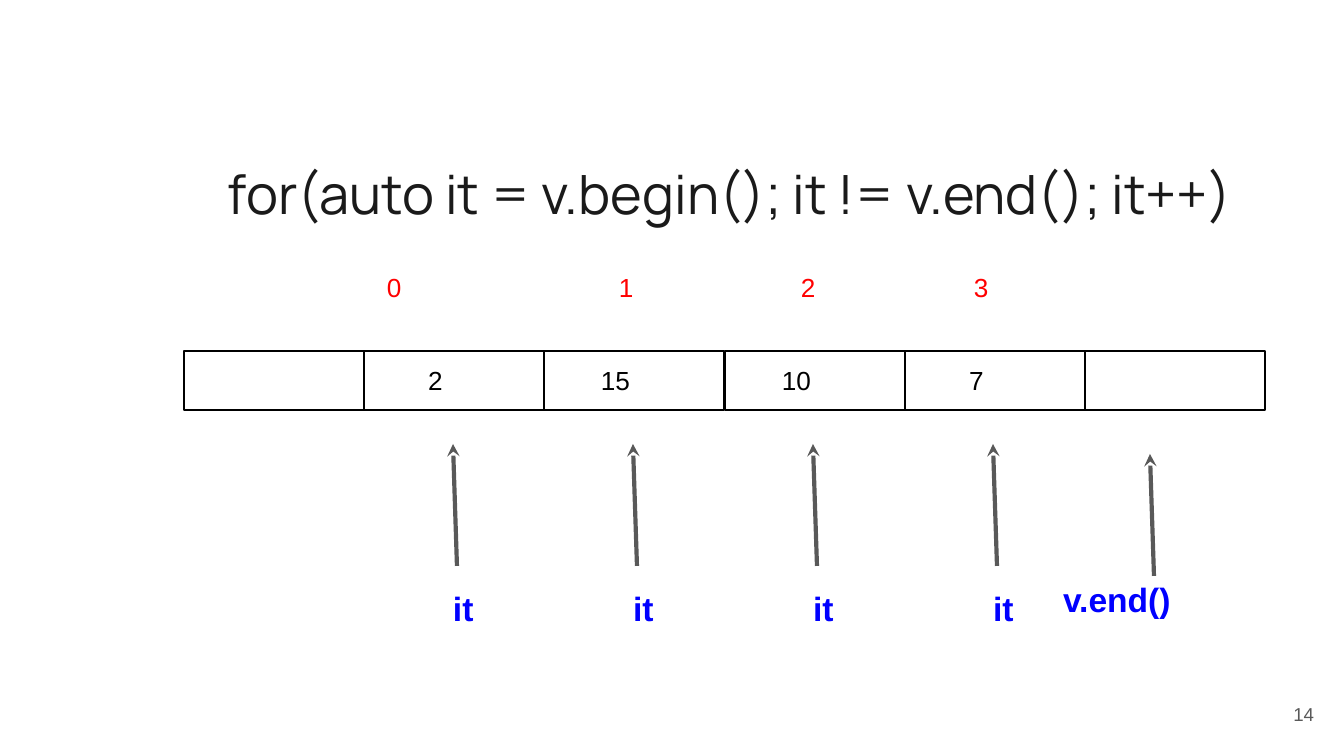
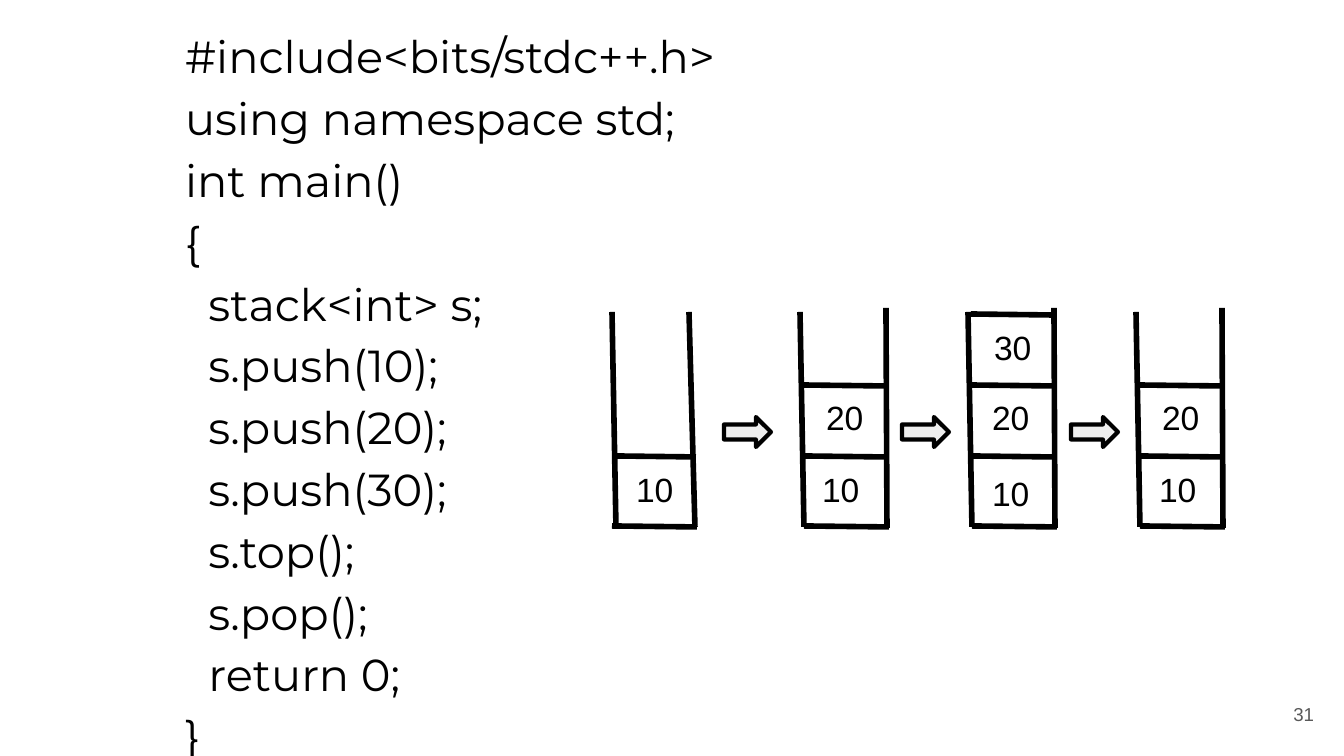
from lxml import etree
from pptx import Presentation
from pptx import util as u
from pptx.dml.color import RGBColor
from pptx.enum import shapes, text
from pptx.oxml.ns import qn

SCALE = 914400 / 134.4  # EMU per px
C = {"ink": "000000", "title": "1A1A1A", "grey": "595959", "red": "FF0000",
     "blue": "0000FF", "pale": "EEEEEE"}
INSET = 13


def add_text(s, box, lines, size, color, font="Arial", bold=False, align="LEFT",
             anchor="TOP", left=INSET, right=INSET, spacing=None, after=None,
             tabs=(), border=False):
    """Text box, or an outlined rectangle if border is set."""
    dims = [round(v * SCALE) for v in box]
    if border:
        sp = s.shapes.add_shape(shapes.MSO_SHAPE.RECTANGLE, *dims)
        sp.shadow.inherit = False
        sp.fill.background()
        sp.line.color.rgb = RGBColor.from_string(C["ink"])
        sp.line.width = u.Pt(0.75)
    else:
        sp = s.shapes.add_textbox(*dims)
    tf = sp.text_frame
    tf.word_wrap = True
    tf.vertical_anchor = text.MSO_ANCHOR[anchor]
    tf.margin_left, tf.margin_right = round(left * SCALE), round(right * SCALE)
    tf.margin_top = tf.margin_bottom = round(INSET * SCALE)
    for i, line in enumerate(lines):
        p = tf.add_paragraph() if i else tf.paragraphs[0]
        p.alignment = text.PP_ALIGN[align]
        if spacing:
            p.line_spacing = spacing
        if after:
            p.space_after = u.Pt(after)
        if tabs:
            stops = etree.SubElement(p._p.get_or_add_pPr(), qn("a:tabLst"))
            for pos in tabs:
                etree.SubElement(stops, qn("a:tab"), pos=str(round(pos * SCALE)), algn="l")
        r = p.add_run()
        r.text = line
        r.font.size, r.font.name, r.font.bold = u.Pt(size), font, bold
        r.font.color.rgb = RGBColor.from_string(C[color])


def add_line(s, x1, y1, x2, y2, color="ink", width=3, arrow=False):
    ends = [round(v * SCALE) for v in (x1, y1, x2, y2)]
    c = s.shapes.add_connector(shapes.MSO_CONNECTOR.STRAIGHT, *ends)
    c.line.color.rgb = RGBColor.from_string(C[color])
    c.line.width = u.Pt(width)
    if arrow:
        etree.SubElement(c.line._get_or_add_ln(), qn("a:tailEnd"), type="stealth")
    etree.SubElement(c._element.spPr, qn("a:effectLst"))


prs = Presentation()
prs.slide_width, prs.slide_height = round(1344 * SCALE), round(756 * SCALE)

# Slides with page numbers
pages = []
for number in ("14", "31"):
    s = prs.slides.add_slide(prs.slide_layouts[6])
    add_text(s, (1246, 685, 81, 58), [number], 10, "grey", align="RIGHT", anchor="MIDDLE")
    pages.append(s)
loop_slide, stack_slide = pages

# Loop heading and indices
s = loop_slide
add_text(s, (215, 138, 1059, 93), ["for(auto it = v.begin(); it != v.end(); it++)"],
         29, "title", font="Manrope", spacing=1.15, after=12)
add_text(s, (184, 258, 1059, 90), ["\t0\t1\t2\t3"], 14, "red", tabs=(190, 422, 604, 777))

# Vector cells
for i, value in enumerate(["", "2", "15", "10", "7", ""]):
    add_text(s, (184 + 1082 * i // 6, 351, 180, 59), [value] if value else [], 14, "ink",
             align="CENTER", right=50, border=True)

# Iterator arrows and labels
for i in range(4):
    tip = 453 + 180 * i
    add_line(s, tip + 4, 566, tip, 444, "grey", 2.25, arrow=True)
    add_text(s, (tip - 89, 575, 253, 95), ["it"], 18, "blue", bold=True, left=89)
add_line(s, 1154, 576, 1150, 454, "grey", 2.25, arrow=True)
add_text(s, (1050, 566, 253, 95), ["v.end()"], 18, "blue", bold=True)

# Stack program
s = stack_slide
code = ["#include<bits/stdc++.h>", "using namespace std;", "int main()", "{",
        "  stack<int> s;", "  s.push(10);", "  s.push(20);", "  s.push(30);",
        "  s.top();", "  s.pop();", "  return 0;", "}"]
add_text(s, (172, 8, 582, 665), code, 24, "ink", font="Montserrat", spacing=1.15)

# Stack states: left edge, right wall, base start, (value, x, y) from the bottom up
stacks = [
    (612, (689, 312, 695, 527), 612, [("10", 614, 456)]),
    (800, (886, 308, 887, 528), 804, [("10", 800, 456), ("20", 804, 384)]),
    (968, (1054, 308, 1055, 528), 972, [("10", 970, 460), ("20", 970, 384), ("30", 972, 314)]),
    (1136, (1222, 308, 1223, 528), 1140, [("10", 1137, 456), ("20", 1140, 384)]),
]
for left, right_wall, base, items in stacks:
    add_line(s, left, 312, left + 4, 527)
    add_line(s, *right_wall)
    add_line(s, base, 526, right_wall[2] + 2, 527)
    for level, (value, x, y) in enumerate(items):
        top = 456 - 71 * level
        add_line(s, left + 3, top, left + 84, top + 1)
        add_text(s, (x, y, 81, 51), [value], 18, "ink", left=22, right=0)

# Arrows between states
for x in (724, 902, 1071):
    dims = [round(v * SCALE) for v in (x, 417, 47, 30)]
    sp = s.shapes.add_shape(shapes.MSO_SHAPE.RIGHT_ARROW, *dims)
    sp.shadow.inherit = False
    sp.fill.solid()
    sp.fill.fore_color.rgb = RGBColor.from_string(C["pale"])
    sp.line.color.rgb = RGBColor.from_string(C["ink"])
    sp.line.width = u.Pt(2.25)

prs.save("out.pptx")
